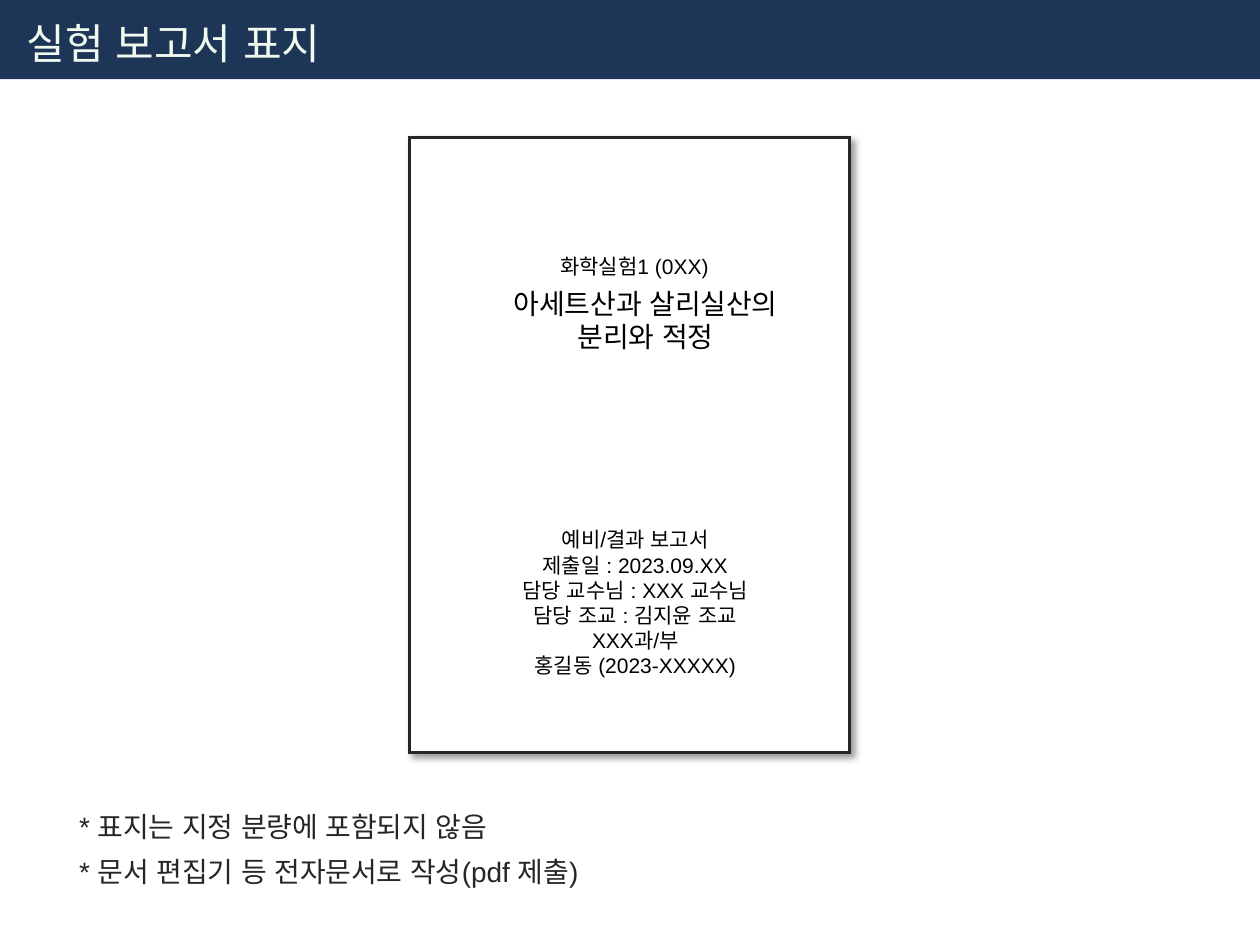
from lxml.etree import SubElement
from pptx import Presentation
from pptx.dml.color import RGBColor
from pptx.enum.shapes import MSO_SHAPE
from pptx.enum.text import MSO_ANCHOR, MSO_AUTO_SIZE, PP_ALIGN
from pptx.oxml import parse_xml
from pptx.oxml.ns import nsdecls, qn
from pptx.util import Pt

COLORS = {
    "navy": "1D3557",
    "cream": "F1FAEE",
    "paper": "FFFFFF",
    "ink": "262626",
    "black": "000000",
}
FONT = "Arial"


def rgb(name):
    return RGBColor.from_string(COLORS[name])


def place(shape, left, top, width, height):
    shape.left, shape.top = Pt(left), Pt(top)
    shape.width, shape.height = Pt(width), Pt(height)


def write(shape, lines, size, color, align=PP_ALIGN.LEFT, wrap=True):
    frame = shape.text_frame
    frame.text = "\n".join(lines)
    frame.word_wrap = wrap
    frame.auto_size = MSO_AUTO_SIZE.SHAPE_TO_FIT_TEXT
    frame.vertical_anchor = MSO_ANCHOR.TOP
    for paragraph in frame.paragraphs:
        paragraph.alignment = align
        for run in paragraph.runs:
            run.font.name = FONT
            run.font.size = Pt(size)
            run.font.color.rgb = rgb(color)
            SubElement(run._r.get_or_add_rPr(), qn("a:ea"), typeface=FONT)


def add_panel(slide, bounds, fill):
    panel = slide.shapes.add_shape(MSO_SHAPE.RECTANGLE, *map(Pt, bounds))
    panel.shadow.inherit = False
    panel.fill.solid()
    panel.fill.fore_color.rgb = rgb(fill)
    panel.line.fill.background()
    return panel


def add_header(slide, heading):
    band = add_panel(slide, (0, 0, 720, 45.2), "navy")
    slide.shapes._spTree.insert(2, band._element)
    title = slide.shapes.title
    place(title, 8, 6.5, 201.5, 36)
    write(title, [heading], 24, "cream", wrap=False)


def add_cover_page(slide):
    page = add_panel(slide, (234, 78.5, 251.5, 351.5), "paper")
    page.line.color.rgb = rgb("ink")
    page.line.width = Pt(1.5)
    SubElement(page._element.spPr.find(qn("a:ln")), qn("a:miter"), lim="800000")
    effects = page._element.spPr.find(qn("a:effectLst"))
    effects.append(parse_xml(
        f'<a:outerShdw {nsdecls("a")} blurRad="{Pt(4)}" dist="{Pt(3)}" '
        'dir="2700000" algn="tl" rotWithShape="0">'
        f'<a:srgbClr val="{COLORS["black"]}"><a:alpha val="40000"/></a:srgbClr>'
        '</a:outerShdw>'
    ))


def add_cover_text(slide, bounds, lines, size, align=PP_ALIGN.CENTER):
    block = slide.shapes.add_textbox(*map(Pt, bounds))
    write(block, lines, size, "black", align)


def add_notes_list(slide, notes):
    body = slide.placeholders[1]
    place(body, 38, 453, 474, 59)
    write(body, notes, 16, "ink")
    for position, paragraph in enumerate(body.text_frame.paragraphs):
        paragraph.line_spacing = 1.3
        paragraph.space_before = Pt(position)
        properties = paragraph._p.get_or_add_pPr()
        properties.set("marL", "0")
        properties.set("indent", "0")
        SubElement(properties, qn("a:buNone"))


def main():
    """Build the lab report cover slide."""
    presentation = Presentation()
    presentation.slide_width, presentation.slide_height = Pt(720), Pt(540)
    slide = presentation.slides.add_slide(presentation.slide_layouts[1])
    add_header(slide, "실험 보고서 표지")
    add_cover_page(slide)
    add_cover_text(slide, (313, 141.5, 178.5, 21.8), ["화학실험1 (0XX)"], 12, PP_ALIGN.LEFT)
    add_cover_text(slide, (278.5, 160, 181, 46), ["아세트산과 살리실산의", "분리와 적정"], 16)
    add_cover_text(slide, (259, 297.5, 208, 108.7), [
        "예비/결과 보고서",
        "제출일 : 2023.09.XX",
        "담당 교수님 : XXX 교수님",
        "담당 조교 : 김지윤 조교",
        "XXX과/부",
        "홍길동 (2023-XXXXX)",
    ], 12)
    add_notes_list(slide, [
        "* 표지는 지정 분량에 포함되지 않음",
        "* 문서 편집기 등 전자문서로 작성(pdf 제출)",
    ])
    presentation.save("out.pptx")


if __name__ == "__main__":
    main()
